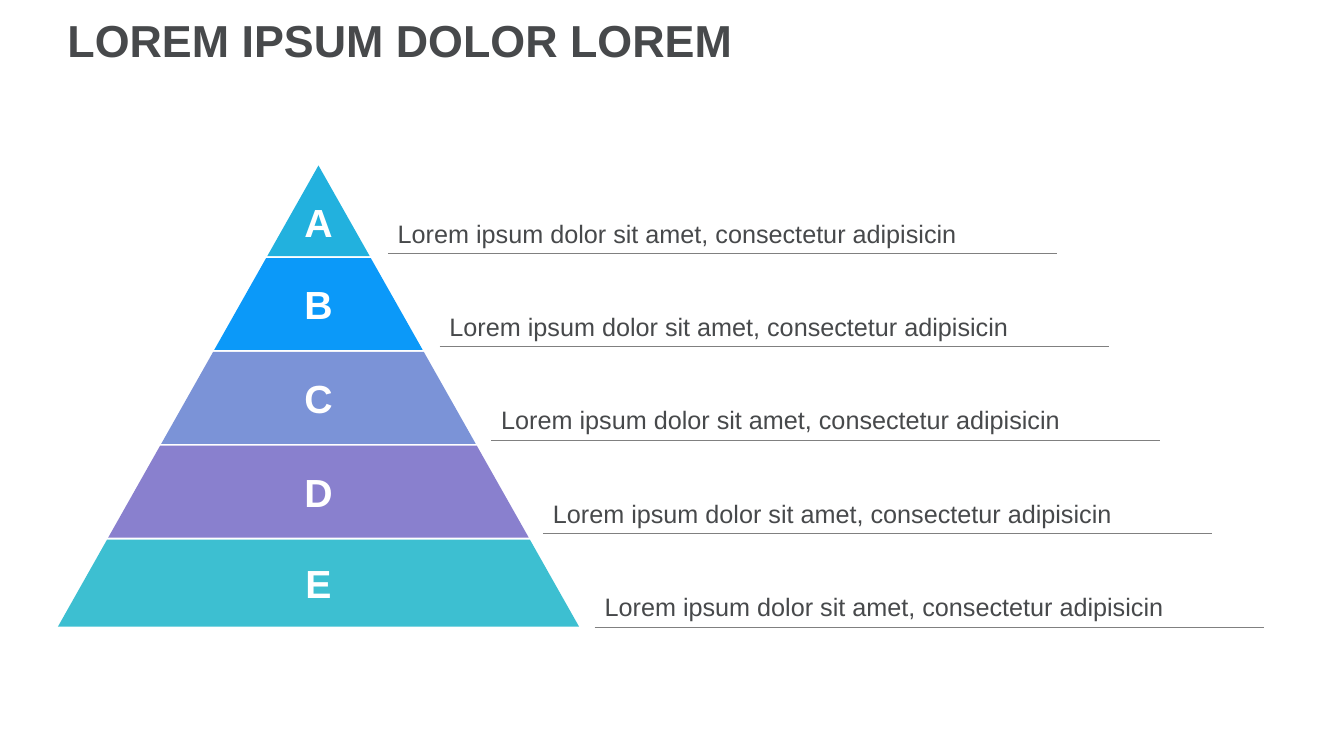
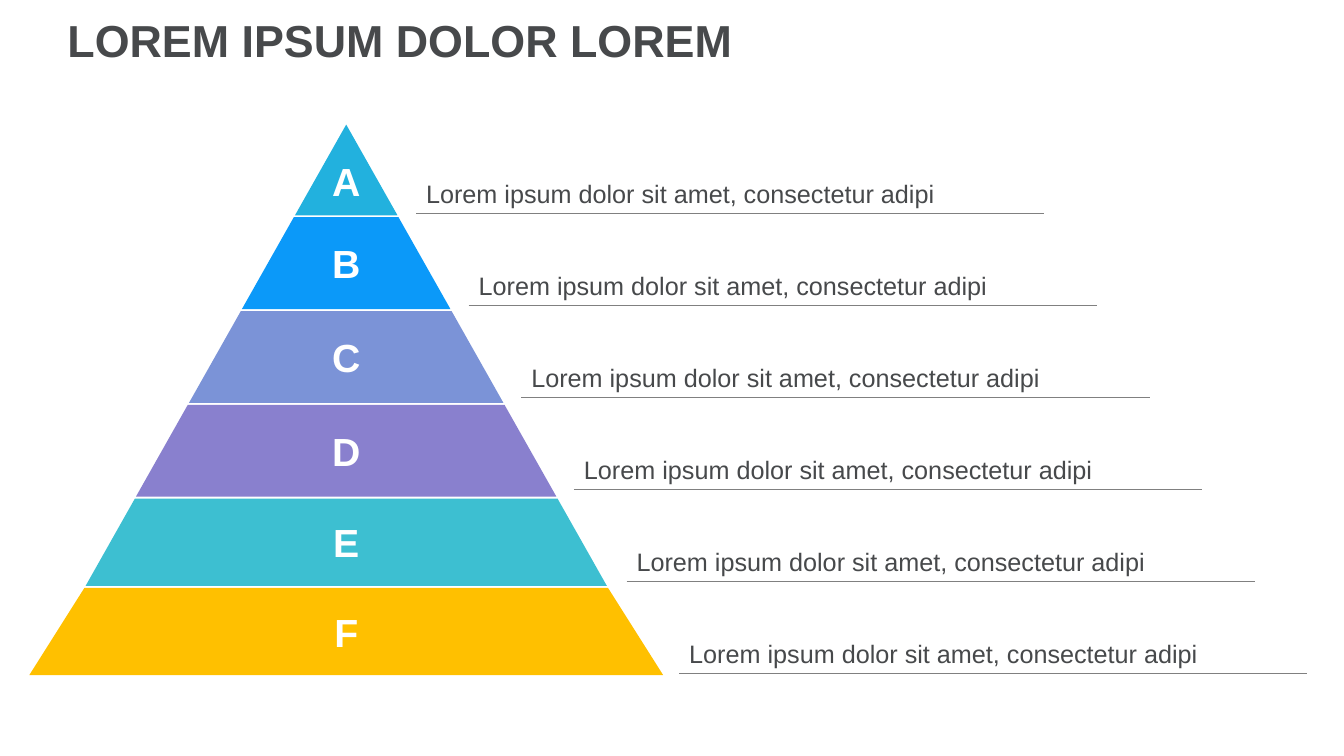
from pptx import Presentation
from pptx.dml.color import RGBColor
from pptx.enum.shapes import MSO_CONNECTOR
from pptx.enum.text import MSO_ANCHOR, MSO_AUTO_SIZE, PP_ALIGN
from pptx.oxml.ns import qn
from pptx.util import Pt
from lxml import etree

LEFT, CENTER = PP_ALIGN.LEFT, PP_ALIGN.CENTER
MIDDLE, BOTTOM = MSO_ANCHOR.MIDDLE, MSO_ANCHOR.BOTTOM
NO_FIT = MSO_AUTO_SIZE.NONE
STRAIGHT = MSO_CONNECTOR.STRAIGHT

# Colours
INK = RGBColor(0x47, 0x49, 0x4B)
RULE = RGBColor(0x80, 0x80, 0x80)
WHITE = RGBColor(0xFF, 0xFF, 0xFF)
SKY = RGBColor(0x22, 0xB1, 0xDE)
BLUE = RGBColor(0x0B, 0x99, 0xF9)
PERIWINKLE = RGBColor(0x7B, 0x93, 0xD7)
VIOLET = RGBColor(0x89, 0x80, 0xCE)
TEAL = RGBColor(0x3D, 0xBF, 0xD1)
AMBER = RGBColor(0xFF, 0xC0, 0x00)

# Text formats
TITLE_FONT = {"name": "Arial", "size": Pt(32), "bold": True}
LETTER_FONT = {"name": "Arial", "size": Pt(28), "bold": True}
CAPTION_FONT = {"name": "Arial", "size": Pt(18), "bold": False}

# Pyramid: letter, colour, height, extra half-width at the foot
BANDS = [
    ("A", SKY, 64.8, 0),
    ("B", BLUE, 65.6, 0),
    ("C", PERIWINKLE, 65.6, 0),
    ("D", VIOLET, 65.6, 0),
    ("E", TEAL, 62.3, 0),
    ("F", AMBER, 62.3, 4.2),
]
BAND_GAP = 1.4
SLOPE = 0.565  # half-width gained per point of height
TIP_INSET = 16  # lowers the letter in the narrow tip

# Slides: apex and captions (first line start, step, width, height)
TITLE = "LOREM IPSUM DOLOR LOREM"
SLIDES = [
    {"count": 5, "apex": (227.5, 118.2),
     "caption": "Lorem ipsum dolor sit amet, consectetur adipisicin",
     "start": (277, 180.8), "step": (36.95, 66.75), "size": (478, 53)},
    {"count": 6, "apex": (247.3, 89),
     "caption": "Lorem ipsum dolor sit amet, consectetur adipi",
     "start": (297.2, 152.7), "step": (37.6, 65.65), "size": (448.7, 54.4)},
]


def write(sp, text, font, color, align, anchor, spacing=1.0):
    tf = sp.text_frame
    tf.word_wrap = True
    tf.auto_size = NO_FIT
    tf.vertical_anchor = anchor
    p = tf.paragraphs[0]
    p.alignment = align
    p.line_spacing = spacing
    r = p.add_run()
    r.text = text
    for name, value in font.items():
        setattr(r.font, name, value)
    r.font.color.rgb = color


def add_title(slide, text):
    sp = slide.shapes.title
    box = {"left": 41, "top": 5.8, "width": 869, "height": 50.4}
    for name, value in box.items():
        setattr(sp, name, Pt(value))
    write(sp, text, TITLE_FONT, INK, LEFT, MIDDLE, 0.9)


def add_band(slide, points, letter, color, top_inset):
    points = [(Pt(x), Pt(y)) for x, y in points]
    builder = slide.shapes.build_freeform(*points[0])
    builder.add_line_segments(points[1:], close=True)
    sp = builder.convert_to_shape()
    sp.shadow.inherit = False
    sp.fill.solid()
    sp.fill.fore_color.rgb = color
    sp.line.fill.background()
    for side in ("left", "right", "bottom", "top"):
        setattr(sp.text_frame, f"margin_{side}", 0)
    sp.text_frame.margin_top = Pt(top_inset)
    write(sp, letter, LETTER_FONT, WHITE, CENTER, MIDDLE)


def add_pyramid(slide, apex, count):
    cx, cy = apex
    top = 0
    for letter, color, height, flare in BANDS[:count]:
        bottom = top + height
        head, foot = top * SLOPE, bottom * SLOPE + flare
        points = [(cx - foot, cy + bottom), (cx + foot, cy + bottom),
                  (cx + head, cy + top)]
        if head:
            points.append((cx - head, cy + top))
        add_band(slide, points, letter, color, 0 if head else TIP_INSET)
        top = bottom + BAND_GAP


def add_caption(slide, text, x, y, width, height):
    """Text standing on a thin rule that runs right from (x, y)."""
    line = slide.shapes.add_connector(STRAIGHT, Pt(x), Pt(y), Pt(x + width), Pt(y))
    line.line.color.rgb = RULE
    line.line.width = Pt(0.5)
    etree.SubElement(line._element.spPr, qn("a:effectLst"))
    sp = slide.shapes.add_textbox(Pt(x), Pt(y - height), Pt(width), Pt(height))
    write(sp, text, CAPTION_FONT, INK, LEFT, BOTTOM, 1.2)


def add_pyramid_slide(prs, count, apex, caption, start, step, size):
    slide = prs.slides.add_slide(prs.slide_layouts.get_by_name("Title Only"))
    add_title(slide, TITLE)
    add_pyramid(slide, apex, count)
    for i in range(count):
        x, y = start[0] + i * step[0], start[1] + i * step[1]
        add_caption(slide, caption, x, y, *size)


def main():
    prs = Presentation()
    prs.slide_width, prs.slide_height = Pt(960), Pt(540)
    for content in SLIDES:
        add_pyramid_slide(prs, **content)
    prs.save("out.pptx")


if __name__ == "__main__":
    main()
